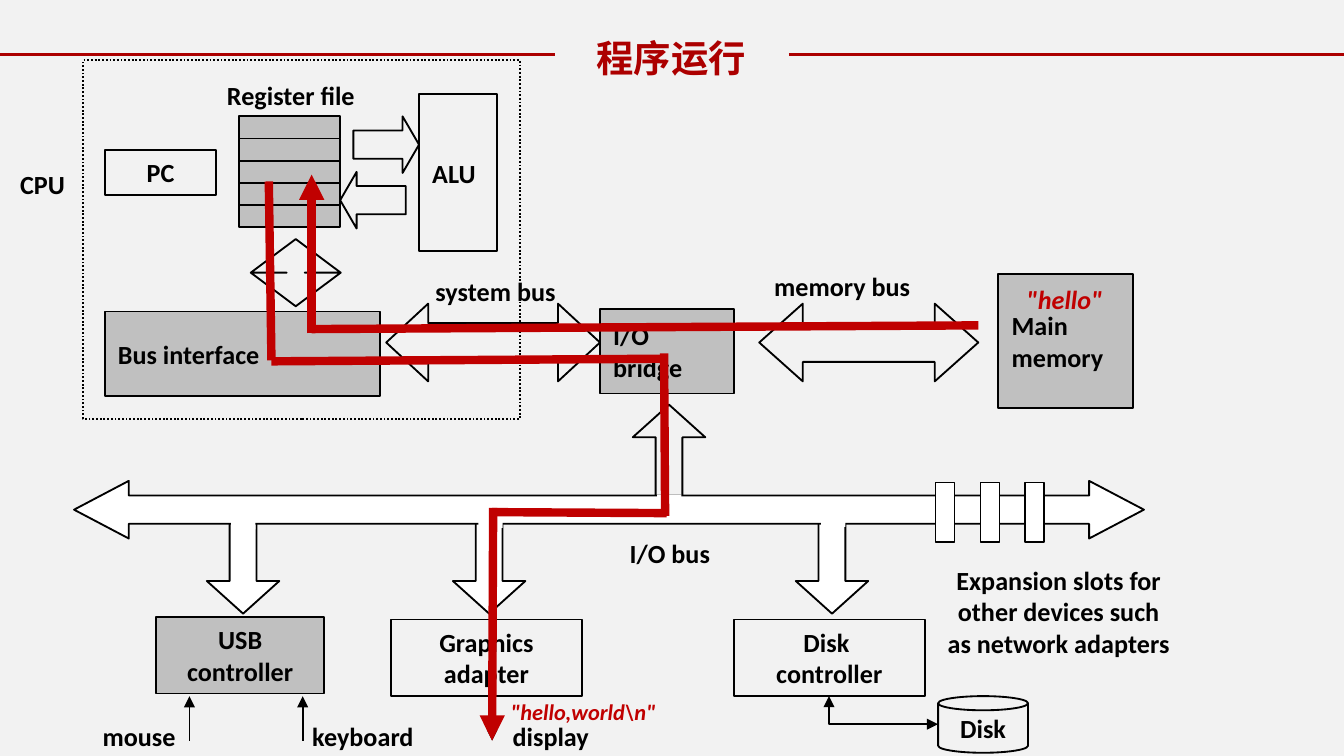
from lxml import etree
from pptx import Presentation
from pptx.dml.color import RGBColor
from pptx.enum.dml import MSO_LINE
from pptx.enum.shapes import MSO_CONNECTOR, MSO_SHAPE
from pptx.enum.text import MSO_ANCHOR, MSO_AUTO_SIZE, PP_ALIGN
from pptx.oxml.ns import qn
from pptx.util import Cm, Pt

PAPER = RGBColor(0xF2, 0xF2, 0xF2)
TITLE_RED = RGBColor(0xAC, 0x00, 0x00)
PATH_RED = RGBColor(0xC0, 0x00, 0x00)
BLACK = RGBColor(0x00, 0x00, 0x00)
WHITE = RGBColor(0xFF, 0xFF, 0xFF)
GREY = RGBColor(0xC0, 0xC0, 0xC0)

LEFT, CENTER = PP_ALIGN.LEFT, PP_ALIGN.CENTER
TOP, MIDDLE = MSO_ANCHOR.TOP, MSO_ANCHOR.MIDDLE
GROW = MSO_AUTO_SIZE.SHAPE_TO_FIT_TEXT
DOTTED = MSO_LINE.ROUND_DOT
STRAIGHT, ELBOW = MSO_CONNECTOR.STRAIGHT, MSO_CONNECTOR.ELBOW
RECT, CAN = MSO_SHAPE.RECTANGLE, MSO_SHAPE.CAN
RIGHT_ARROW, LEFT_ARROW = MSO_SHAPE.RIGHT_ARROW, MSO_SHAPE.LEFT_ARROW
UP_ARROW, DOWN_ARROW = MSO_SHAPE.UP_ARROW, MSO_SHAPE.DOWN_ARROW
UP_DOWN, LEFT_RIGHT = MSO_SHAPE.UP_DOWN_ARROW, MSO_SHAPE.LEFT_RIGHT_ARROW


class Diagram:
    """Draws on one page; all lengths are centimetres."""

    font = "Calibri"
    title_font = "Noto Sans CJK SC"
    size = 14
    stroke = 1

    def __init__(self, page):
        self.page = page
        page.background.fill.solid()
        page.background.fill.fore_color.rgb = PAPER

    def add_words(self, box, text, align, color=BLACK, size=size, italic=False):
        frame = box.text_frame
        frame.word_wrap = False
        frame.vertical_anchor = MIDDLE
        for index, words in enumerate(text.split("\n")):
            para = frame.add_paragraph() if index else frame.paragraphs[0]
            para.alignment = align
            span = para.add_run()
            span.text = words
            span.font.name = self.font
            span.font.size = Pt(size)
            span.font.bold = True
            span.font.italic = italic
            span.font.color.rgb = color

    def title(self, text, x, y, width, height):
        box = self.page.shapes.title
        box.left, box.top, box.width, box.height = map(Cm, (x, y, width, height))
        frame = box.text_frame
        frame.word_wrap = True
        frame.vertical_anchor = TOP
        frame.auto_size = GROW
        para = frame.paragraphs[0]
        para.alignment = CENTER
        span = para.add_run()
        span.text = text
        span.font.name = self.title_font
        span.font.size = Pt(20)
        span.font.bold = True
        span.font.color.rgb = TITLE_RED
        # East Asian typeface follows the latin one
        latin = span.font._element.find(qn("a:latin"))
        east_asian = etree.Element(qn("a:ea"), typeface=self.title_font)
        latin.addnext(east_asian)

    def shape(self, kind, x, y, width, height, fill=None, text="", align=CENTER,
              adjust=(), outline=True, dash=None):
        box = self.page.shapes.add_shape(kind, Cm(x), Cm(y), Cm(width), Cm(height))
        box.shadow.inherit = False
        for index, value in enumerate(adjust):
            box.adjustments[index] = value
        if fill is None:
            box.fill.background()
        else:
            box.fill.solid()
            box.fill.fore_color.rgb = fill
        if outline:
            box.line.color.rgb = BLACK
            box.line.width = Pt(self.stroke)
            if dash:
                box.line.dash_style = dash
        else:
            box.line.fill.background()
        if text:
            self.add_words(box, text, align)

    def label(self, text, x, y, width, height=0.86, align=CENTER, **style):
        box = self.page.shapes.add_textbox(Cm(x), Cm(y), Cm(width), Cm(height))
        self.add_words(box, text, align, **style)
        box.text_frame.auto_size = GROW

    def line(self, x1, y1, x2, y2, color=BLACK, width=stroke, ends=(), kind=STRAIGHT):
        line = self.page.shapes.add_connector(kind, Cm(x1), Cm(y1), Cm(x2), Cm(y2))
        line.line.color.rgb = color
        line.line.width = Pt(width)
        properties = line._element.spPr
        if kind == ELBOW:
            properties.find(qn("a:prstGeom")).set("prst", "bentConnector2")
        for end in ends:
            etree.SubElement(properties.find(qn("a:ln")), qn("a:" + end), type="triangle")
        etree.SubElement(properties, qn("a:effectLst"))


def main():
    deck = Presentation()
    deck.slide_width, deck.slide_height = Cm(25.4), Cm(14.29)
    draw = Diagram(deck.slides.add_slide(deck.slide_layouts[5]))
    arrow = ("tailEnd",)

    # Title between two rules
    for start, end in ((0, 10.49), (14.91, 25.4)):
        draw.line(start, 1.03, end, 1.03, TITLE_RED, 2)
    draw.title("程序运行", 10.49, 0.53, 4.39, 1.12)

    # Memory, bridge, bus interface and the buses between them
    draw.shape(RECT, 18.87, 5.18, 2.54, 2.54, GREY, "Main\nmemory", LEFT)
    draw.shape(LEFT_RIGHT, 14.35, 5.74, 4.14, 1.47, adjust=(0.5, 0.56))
    draw.shape(RECT, 11.34, 5.84, 2.54, 1.6, GREY, "I/O\nbridge", LEFT)
    draw.shape(LEFT_RIGHT, 7.3, 5.74, 4.04, 1.47, adjust=(0.5, 0.54))
    draw.shape(RECT, 1.98, 5.89, 5.21, 1.6, GREY, "Bus interface", LEFT)

    # CPU: register file, ALU and PC
    for row in range(5):
        draw.shape(RECT, 4.52, 2.2 + 0.42 * row, 1.9, 0.42, GREY)
    draw.shape(RIGHT_ARROW, 6.68, 2.2, 1.24, 1.07, adjust=(0.5, 0.29))
    draw.shape(LEFT_ARROW, 6.43, 3.25, 1.24, 1.07, adjust=(0.5, 0.29))
    draw.shape(RECT, 7.92, 1.78, 1.48, 2.97, text="ALU", align=LEFT)
    draw.shape(RECT, 1.98, 2.84, 2.11, 0.84, text="PC")
    draw.shape(UP_DOWN, 4.74, 4.52, 1.7, 1.27, adjust=(0.5, 0.2))
    draw.shape(RECT, 1.57, 1.14, 8.26, 6.78, dash=DOTTED)
    for text, x, y, width in (
        ("Register file", 4.04, 1.37, 2.95),
        ("CPU", 0.13, 3.05, 1.37),
        ("system bus", 7.98, 5.08, 2.79),
        ("memory bus", 14.38, 4.98, 3.1),
    ):
        draw.label(text, x, y, width, align=LEFT)

    # Controllers and their links to the I/O bus
    draw.shape(UP_ARROW, 11.96, 7.65, 1.37, 1.9, adjust=(0.37, 0.45))
    for arrow_x, x, y, width, fill, text in (
        (15.04, 13.87, 11.71, 3.61, None, "Disk \ncontroller"),
        (8.56, 7.39, 11.71, 3.61, None, "Graphics\nadapter"),
        (3.91, 2.95, 11.66, 3.18, GREY, "USB\ncontroller"),
    ):
        draw.shape(DOWN_ARROW, arrow_x, 9.7, 1.37, 1.9, WHITE, adjust=(0.37, 0.45))
        draw.shape(RECT, x, y, width, 1.45, fill, text)

    # Devices
    for x in (3.58, 5.72):
        draw.line(x, 14, x, 13.16, ends=arrow)
    draw.line(9.3, 13.16, 9.3, 14, ends=arrow)
    for text, x, width in (
        ("mouse", 1.68, 1.9), ("keyboard", 5.64, 2.44), ("display", 9.42, 1.98),
    ):
        draw.label(text, x, 13.49, width)
    draw.shape(CAN, 17.73, 13.16, 1.7, 1.07, text="Disk", adjust=(0.25,))
    draw.line(17.73, 13.69, 15.67, 13.16, width=0.75,
              ends=("headEnd", "tailEnd"), kind=ELBOW)

    # I/O bus, with patches that open its joints
    draw.shape(LEFT_RIGHT, 1.4, 9.09, 20.22, 1.09, WHITE, adjust=(0.49, 0.95))
    for x, y in ((4.37, 9.58), (9.04, 9.55), (15.52, 9.53), (12.42, 9.35)):
        draw.shape(RECT, x, y, 0.46, 0.43, WHITE, outline=False)
    draw.label("I/O bus", 11.63, 10.03, 2.06)

    # Expansion slots
    for slot in range(3):
        draw.shape(RECT, 17.68 + 0.85 * slot, 9.12, 0.36, 1.12, WHITE)
    draw.label("Expansion slots for\nother devices such\nas network adapters",
               17.65, 10.54, 4.72, 2.03)

    # Path of the string from memory to the display
    draw.label('"hello"', 19.15, 5.23, 1.98, align=LEFT, color=PATH_RED, italic=True)
    for x1, y1, x2, y2, ends in (
        (5.89, 6.3, 5.89, 3.3, arrow),
        (5.13, 6.83, 12.6, 6.78, ()),
        (18.49, 6.15, 5.89, 6.22, ()),
        (5.13, 6.81, 5.08, 3.43, ()),
        (12.57, 9.75, 12.55, 6.68, ()),
        (9.3, 9.68, 12.6, 9.7, ()),
        (9.32, 9.6, 9.3, 14, arrow),
    ):
        draw.line(x1, y1, x2, y2, PATH_RED, 4.5, ends)
    draw.label('"hello,world\\n"', 9.4, 13.08, 3.3, 0.76, LEFT,
               color=PATH_RED, size=12, italic=True)

    deck.save("out.pptx")


if __name__ == "__main__":
    main()
